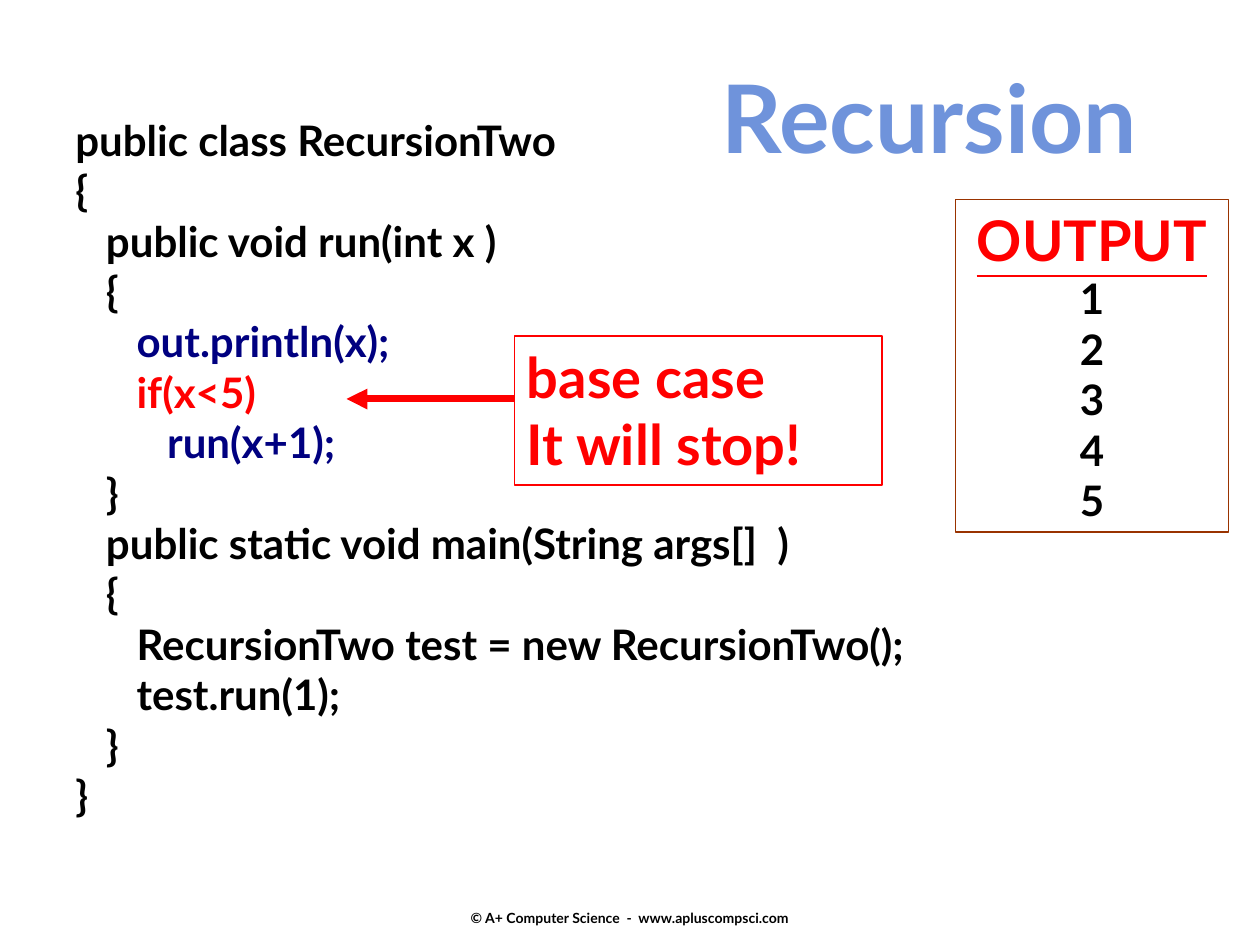
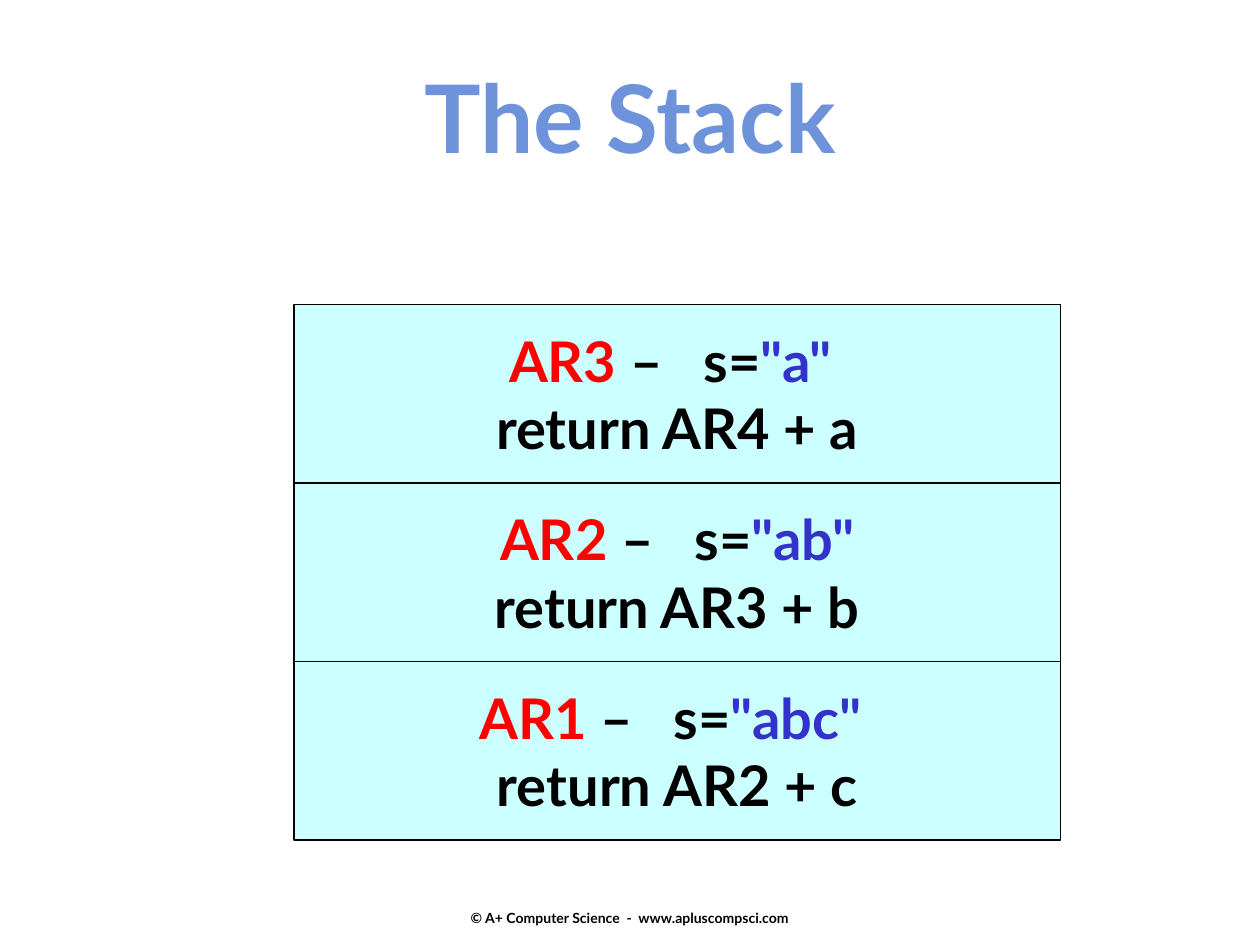
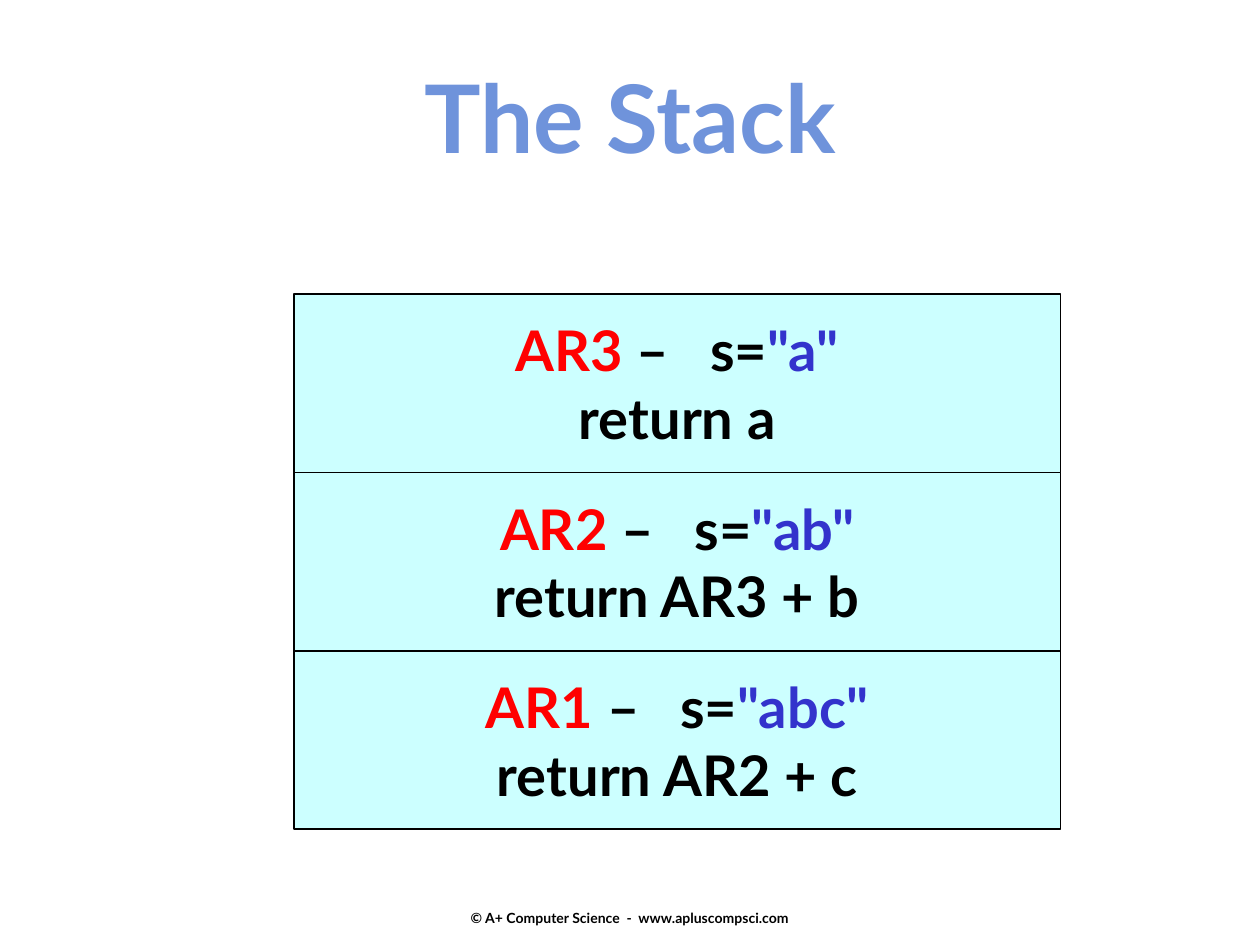
from collections import namedtuple
from pptx import Presentation
from pptx.dml.color import RGBColor
from pptx.enum.shapes import MSO_CONNECTOR, MSO_SHAPE
from pptx.enum.text import MSO_ANCHOR, MSO_AUTO_SIZE, PP_ALIGN
from pptx.oxml.ns import qn
from pptx.util import Inches, Pt
from lxml.etree import SubElement

Box = namedtuple("Box", "left top width height")

COLUMNS, ROWS = 120, 90
SLIDE_WIDTH, SLIDE_HEIGHT = Inches(10), Inches(7.5)
FONT = "Lato"
BLACK, RED, NAVY = "000000", "FF0000", "000080"
TITLE_BLUE, VALUE_BLUE = "6F93DB", "3333CC"
FRAME_FILL, OUTPUT_BORDER = "CCFFFF", "993300"
FOOTER = "© A+ Computer Science  -  www.apluscompsci.com"

TITLE_BOX = Box(0, 5, 120, 12)
FOOTER_BOX = Box(41, 82, 38, 6.2)

CODE = [
    ("public class RecursionTwo", BLACK),
    ("{", BLACK),
    ("   public void run(int x )", BLACK),
    ("   {", BLACK),
    ("      out.println(x);", NAVY),
    ("      if(x<5)", RED),
    ("         run(x+1);", NAVY),
    ("   }", BLACK),
    ("   public static void main(String args[]  )", BLACK),
    ("   {", BLACK),
    ("      RecursionTwo test = new RecursionTwo();", BLACK),
    ("      test.run(1);", BLACK),
    ("   }", BLACK),
    ("}", BLACK),
]


def color(hex_string):
    return RGBColor.from_string(hex_string)


def across(columns):
    return round(SLIDE_WIDTH * columns / COLUMNS)


def down(rows):
    return round(SLIDE_HEIGHT * rows / ROWS)


def place(box):
    return across(box.left), down(box.top), across(box.width), down(box.height)


def add_text(paragraph, text, size=32, fill=BLACK, underline=False,
             align=PP_ALIGN.LEFT):
    paragraph.alignment = align
    run = paragraph.add_run()
    run.text = text
    run.font.name = FONT
    run.font.size = Pt(size)
    run.font.bold = True
    run.font.underline = underline
    run.font.color.rgb = color(fill)


def next_paragraph(text_frame):
    first = text_frame.paragraphs[0]
    return text_frame.add_paragraph() if first.runs else first


def prepare_text(shape, anchor=MSO_ANCHOR.TOP):
    text_frame = shape.text_frame
    text_frame.auto_size = MSO_AUTO_SIZE.NONE
    text_frame.word_wrap = True
    text_frame.vertical_anchor = anchor
    return text_frame


def add_rectangle(slide, box, line, fill=None):
    shape = slide.shapes.add_shape(MSO_SHAPE.RECTANGLE, *place(box))
    shape.shadow.inherit = False
    if fill:
        shape.fill.solid()
        shape.fill.fore_color.rgb = color(fill)
    else:
        shape.fill.background()
    shape.line.color.rgb = color(line)
    shape.line.width = Pt(1)
    return shape


def add_footer(slide, box):
    shape = slide.shapes.add_textbox(*place(box))
    text_frame = prepare_text(shape, MSO_ANCHOR.BOTTOM)
    text_frame.margin_bottom = 0
    add_text(text_frame.paragraphs[0], FOOTER, size=8, align=PP_ALIGN.CENTER)


def add_titled_slide(presentation, title, indent=0):
    slide = presentation.slides.add_slide(presentation.slide_layouts[5])
    shape = slide.shapes.title
    shape.left, shape.top, shape.width, shape.height = place(TITLE_BOX)
    text_frame = prepare_text(shape)
    text_frame.margin_left = Inches(0.1) + across(indent)
    add_text(text_frame.paragraphs[0], title, size=54, fill=TITLE_BLUE,
             align=PP_ALIGN.CENTER)
    add_footer(slide, FOOTER_BOX)
    return slide


def add_code(slide, box):
    text_frame = prepare_text(slide.shapes.add_textbox(*place(box)))
    for text, fill in CODE:
        add_text(next_paragraph(text_frame), text, size=24, fill=fill)


def add_callout(slide, box, arrow_length):
    text_frame = prepare_text(add_rectangle(slide, box, RED))
    for text in ("base case", "It will stop!"):
        add_text(next_paragraph(text_frame), text, fill=RED)
    arrow_row = down(box.top + 6)
    arrow = slide.shapes.add_connector(
        MSO_CONNECTOR.STRAIGHT, across(box.left), arrow_row,
        across(box.left - arrow_length), arrow_row)
    arrow.line.color.rgb = color(RED)
    arrow.line.width = Pt(4)
    SubElement(arrow.line._get_or_add_ln(), qn("a:tailEnd"), type="triangle")
    SubElement(arrow._element.spPr, qn("a:effectLst"))


def add_output(slide, box):
    text_frame = prepare_text(add_rectangle(slide, box, OUTPUT_BORDER))
    add_text(next_paragraph(text_frame), "OUTPUT", fill=RED, underline=True,
             align=PP_ALIGN.CENTER)
    for number in range(1, 6):
        add_text(next_paragraph(text_frame), str(number), size=24,
                 align=PP_ALIGN.CENTER)


def add_stack(slide, box, records):
    height = box.height / len(records)
    for index, (name, value, result) in enumerate(records):
        record_box = Box(box.left, box.top + index * height, box.width, height)
        shape = add_rectangle(slide, record_box, BLACK, FRAME_FILL)
        text_frame = prepare_text(shape, MSO_ANCHOR.MIDDLE)
        call = next_paragraph(text_frame)
        for text, fill in ((name, RED), (" –   s=", BLACK), (value, VALUE_BLUE)):
            add_text(call, text, fill=fill, align=PP_ALIGN.CENTER)
        add_text(next_paragraph(text_frame), f"return {result}",
                 align=PP_ALIGN.CENTER)


def build_recursion_slide(presentation):
    slide = add_titled_slide(presentation, "Recursion", indent=57)
    add_code(slide, Box(6, 10.3, 95.6, 73))
    add_callout(slide, Box(49, 32, 35, 14.2), arrow_length=16)
    add_output(slide, Box(91, 19, 26, 31.7))


def build_stack_slide(presentation, top, records):
    slide = add_titled_slide(presentation, "The Stack")
    add_stack(slide, Box(28, top, 73, 51), records)


def main():
    presentation = Presentation()
    presentation.slide_width = SLIDE_WIDTH
    presentation.slide_height = SLIDE_HEIGHT
    build_recursion_slide(presentation)
    build_stack_slide(presentation, 29, [
        ("AR3", '"a" ', "AR4 + a"),
        ("AR2", '"ab"', "AR3 + b"),
        ("AR1", '"abc" ', "AR2 + c"),
    ])
    build_stack_slide(presentation, 28, [
        ("AR3", '"a"', "a"),
        ("AR2", '"ab"', "AR3 + b"),
        ("AR1", '"abc"', "AR2 + c"),
    ])
    presentation.save("out.pptx")


if __name__ == "__main__":
    main()
